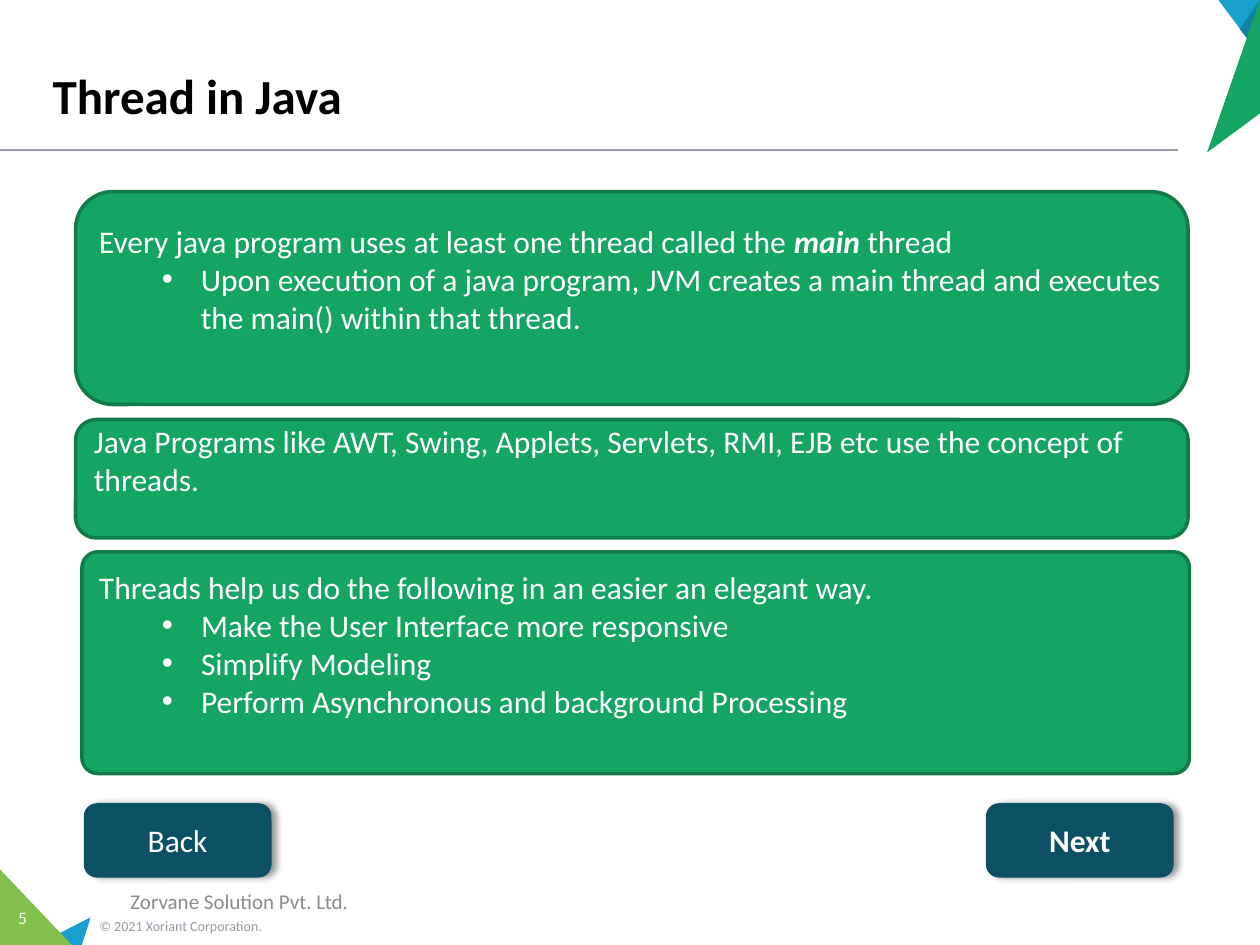
from dataclasses import dataclass

import pptx
import pptx.dml.color
import pptx.enum.shapes
import pptx.enum.text
import pptx.oxml
import pptx.oxml.ns
import pptx.util

Inches = pptx.util.Inches
Pt = pptx.util.Pt
Align = pptx.enum.text.PP_ALIGN
Anchor = pptx.enum.text.MSO_ANCHOR
NAMESPACE = pptx.oxml.ns.nsdecls("a")


@dataclass(frozen=True)
class Theme:
    font: str = "Calibri"
    black: str = "000000"
    white: str = "FFFFFF"
    green: str = "15A563"
    dark_green: str = "107A49"
    lime: str = "81C14B"
    blue: str = "17A1CC"
    dark_blue: str = "1281A3"
    button: str = "0C5066"
    rule: str = "959AA5"
    footer: str = "8C8C8C"
    title_size: int = 28
    body_size: int = 18
    footer_size: int = 12
    number_size: int = 10
    copyright_size: int = 8


THEME = Theme()


def rgb(value):
    return pptx.dml.color.RGBColor.from_string(value)


def add_span(para, text, size, color, bold=False, italic=False):
    span = para.add_run()
    span.text = text
    span.font.name = THEME.font
    span.font.size = Pt(size)
    span.font.color.rgb = rgb(color)
    span.font.bold = bold
    span.font.italic = italic


def add_label(page, bounds, text, size, color, anchor=Anchor.MIDDLE,
              align=Align.LEFT, bold=False, side_inset=0.1):
    box = page.shapes.add_textbox(*map(Inches, bounds))
    frame = box.text_frame
    frame.word_wrap = True
    frame.vertical_anchor = anchor
    frame.margin_left = frame.margin_right = Inches(side_inset)
    para = frame.paragraphs[0]
    para.alignment = align
    add_span(para, text, size, color, bold)


def add_triangle(page, corners, color):
    points = [(Inches(x), Inches(y)) for x, y in corners]
    builder = page.shapes.build_freeform(*points[0], scale=1.0)
    builder.add_line_segments(points[1:], close=True)
    triangle = builder.convert_to_shape()
    triangle.shadow.inherit = False
    triangle.fill.solid()
    triangle.fill.fore_color.rgb = rgb(color)
    triangle.line.fill.background()


def add_rule(page, right, top):
    rule = page.shapes.add_connector(
        pptx.enum.shapes.MSO_CONNECTOR.STRAIGHT,
        0, Inches(top), Inches(right), Inches(top))
    rule.line.color.rgb = rgb(THEME.rule)
    rule.line.width = Pt(1)
    rule._element.spPr.append(pptx.oxml.parse_xml(f"<a:effectLst {NAMESPACE}/>"))


def add_rounded_box(page, bounds, rounding, fill, line, line_width):
    box = page.shapes.add_shape(
        pptx.enum.shapes.MSO_SHAPE.ROUNDED_RECTANGLE, *map(Inches, bounds))
    box.adjustments[0] = rounding
    box.shadow.inherit = False
    box.fill.solid()
    box.fill.fore_color.rgb = rgb(fill)
    box.line.color.rgb = rgb(line)
    box.line.width = Pt(line_width)
    box.text_frame.word_wrap = True
    box.text_frame.vertical_anchor = Anchor.MIDDLE
    return box


def add_bullet(para):
    para.level = 1
    properties = para._p.get_or_add_pPr()
    properties.set("marL", str(Inches(0.81)))
    properties.set("indent", str(Inches(-0.31)))
    for tag in (f'<a:buFont {NAMESPACE} typeface="Arial"/>',
                f'<a:buChar {NAMESPACE} char="•"/>'):
        properties.append(pptx.oxml.parse_xml(tag))


def add_panel(page, bounds, rounding, lead, bullets=()):
    """Green box with a lead line of (text, emphasised) parts and bullets."""
    box = add_rounded_box(page, bounds, rounding, THEME.green, THEME.dark_green, 2)
    frame = box.text_frame
    frame.margin_bottom = Inches(0.35)
    para = frame.paragraphs[0]
    para.alignment = Align.LEFT
    for text, emphasised in lead:
        add_span(para, text, THEME.body_size, THEME.white, emphasised, emphasised)
    for text in bullets:
        para = frame.add_paragraph()
        para.alignment = Align.LEFT
        add_bullet(para)
        add_span(para, text, THEME.body_size, THEME.white)


def add_button(page, left, text, bold=False):
    box = add_rounded_box(page, (left, 6.38, 1.48, 0.58), 0.17,
                          THEME.button, THEME.button, 0.75)
    effects = box._element.spPr.find(pptx.oxml.ns.qn("a:effectLst"))
    effects.append(pptx.oxml.parse_xml(
        f'<a:outerShdw {NAMESPACE} blurRad="{Pt(4)}" dist="{Pt(3)}" dir="0" '
        f'algn="l" rotWithShape="0"><a:srgbClr val="{THEME.black}">'
        '<a:alpha val="40000"/></a:srgbClr></a:outerShdw>'))
    para = box.text_frame.paragraphs[0]
    para.alignment = Align.CENTER
    add_span(para, text, THEME.body_size, THEME.white, bold)


def add_decoration(page):
    add_rule(page, 9.35, 1.19)
    for color, corners in (
        (THEME.blue, [(0.72, 7.28), (0.65, 7.5), (0.29, 7.5)]),
        (THEME.lime, [(0, 6.9), (0.57, 7.5), (0, 7.5)]),
        (THEME.blue, [(9.67, 0), (10, 0), (10, 0.44)]),
        (THEME.dark_blue, [(9.84, 0.23), (10, 0), (10, 0.44)]),
        (THEME.green, [(9.58, 1.21), (10, 0), (10, 0.9)]),
    ):
        add_triangle(page, corners, color)


def add_labels(page):
    add_label(page, (0.69, 7.23, 2.33, 0.24), "© 2021 Xoriant Corporation.",
              THEME.copyright_size, THEME.rule)
    add_label(page, (0, 7.15, 0.36, 0.24), "5", THEME.number_size, THEME.white,
              anchor=Anchor.TOP, align=Align.CENTER, side_inset=0)
    add_label(page, (0.32, 0.08, 9, 0.96), "Thread in Java", THEME.title_size,
              THEME.black, anchor=Anchor.BOTTOM, bold=True)
    add_label(page, (0, 6.95, 3.8, 0.4), "Zorvane Solution Pvt. Ltd.",
              THEME.footer_size, THEME.footer, align=Align.CENTER)


def main():
    deck = pptx.Presentation()
    deck.slide_width, deck.slide_height = Inches(10), Inches(7.5)
    page = deck.slides.add_slide(deck.slide_layouts[6])
    add_decoration(page)
    add_labels(page)
    add_panel(page, (0.6, 1.52, 8.83, 1.69), 0.175,
              [("Every java program uses at least one thread called the ", False),
               ("main ", True), ("thread", False)],
              ["Upon execution of a java program, JVM creates a main thread "
               "and executes the main() within that thread."])
    add_panel(page, (0.6, 3.33, 8.83, 0.94), 0.174,
              [("Java Programs like AWT, Swing, Applets, Servlets, RMI, EJB etc "
                "use the concept of threads.", False)])
    add_panel(page, (0.65, 4.38, 8.79, 1.76), 0.072,
              [("Threads help us do the following in an easier an elegant way.",
                False)],
              ["Make the User Interface more responsive", "Simplify Modeling",
               "Perform Asynchronous and background Processing"])
    add_button(page, 7.83, "Next", bold=True)
    add_button(page, 0.67, "Back")
    deck.save("out.pptx")


if __name__ == "__main__":
    main()
